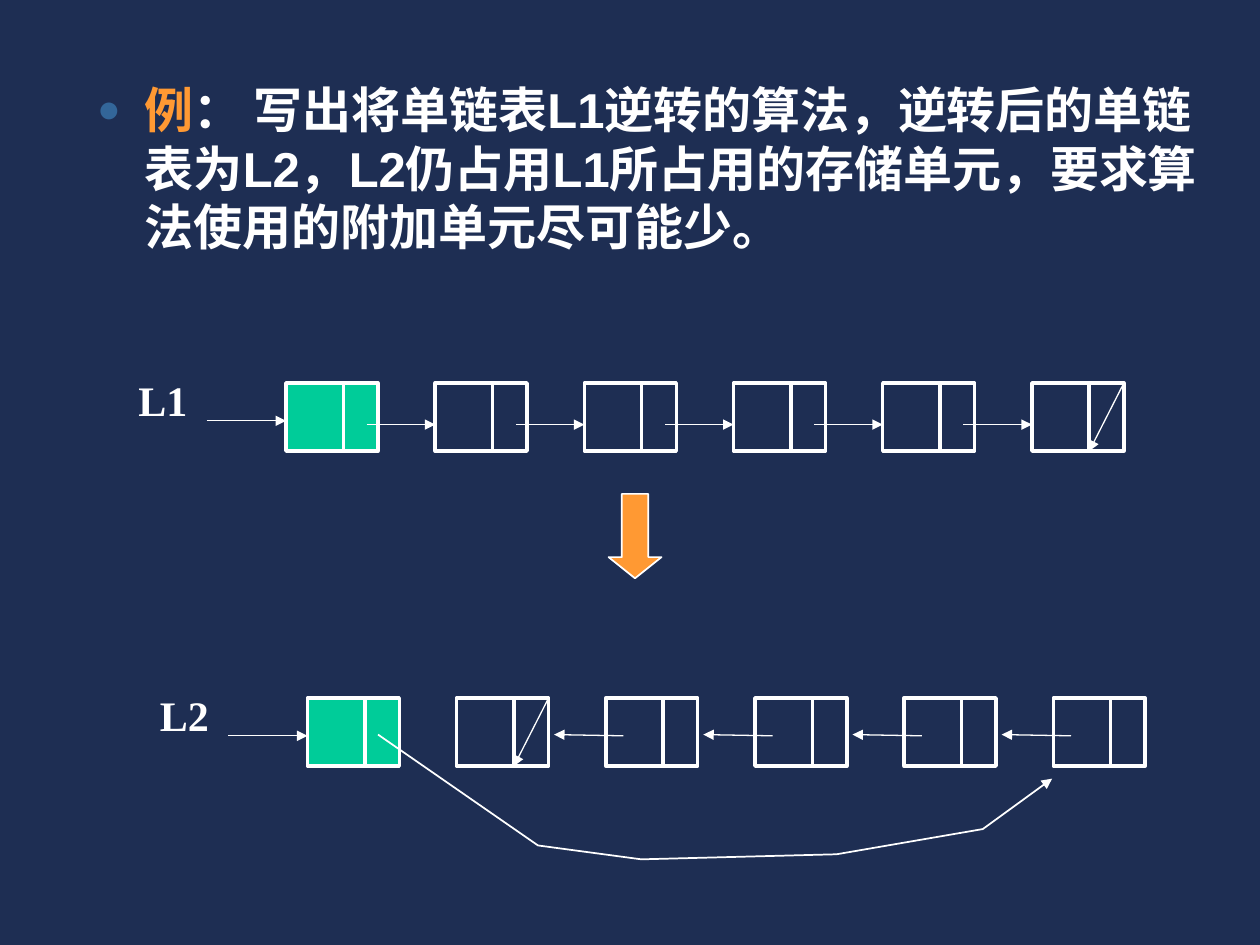
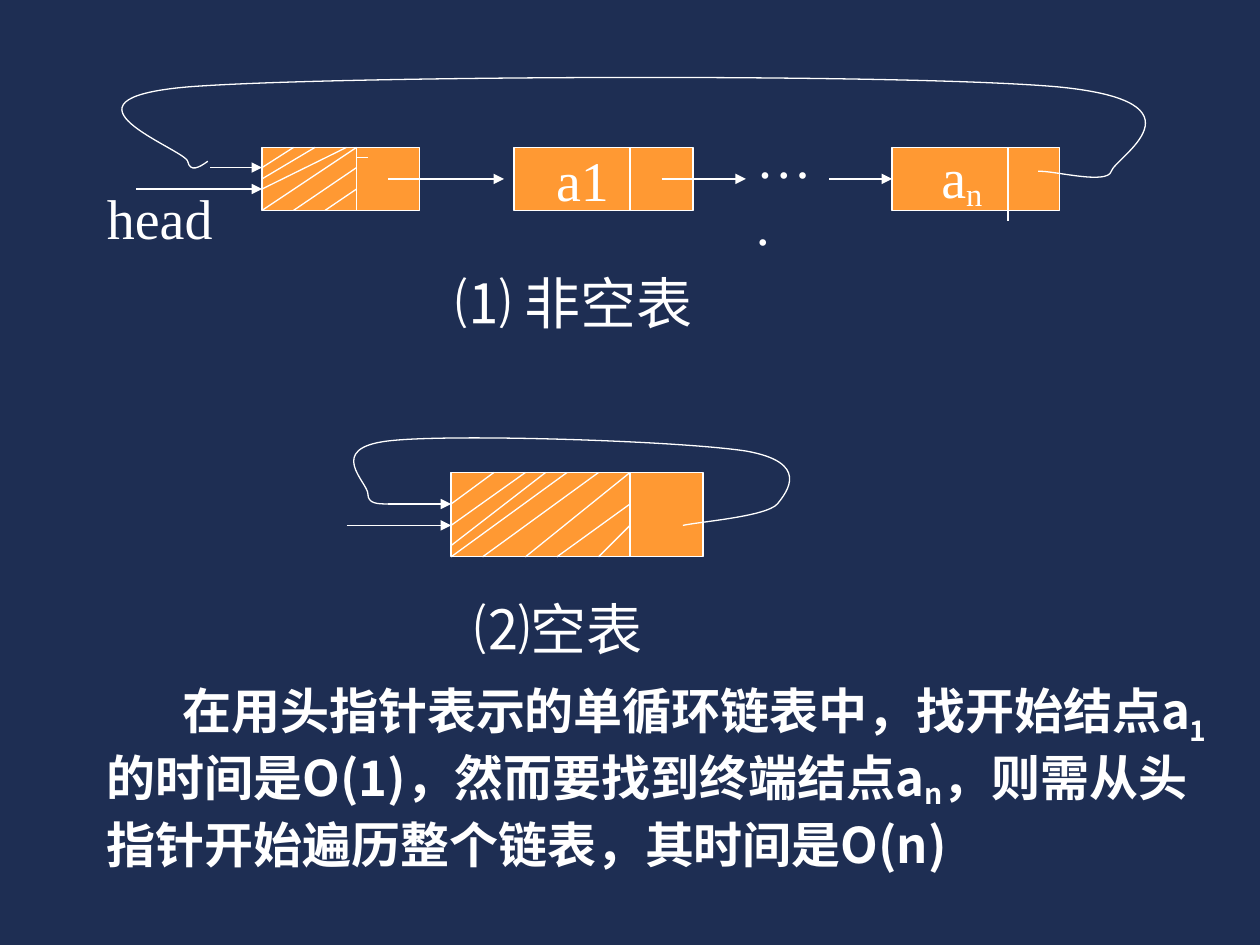
from lxml.etree import SubElement
from pptx import Presentation
from pptx.dml.color import RGBColor
from pptx.enum.shapes import MSO_CONNECTOR, MSO_SHAPE
from pptx.enum.text import MSO_ANCHOR, MSO_AUTO_SIZE, PP_ALIGN
from pptx.oxml.ns import qn
from pptx.util import Cm, Pt

NAVY = "1E2E53"
WHITE = "FFFFFF"
ORANGE = "FF9933"
GREEN = "00CC99"
BLUE = "336699"
SERIF = "Times New Roman"

NODE_WIDTH, NODE_HEIGHT, NODE_PITCH = 0.73, 0.54, 1.184
NODE_COUNT, POINTER_LEFT = 6, 0.455


def inches(value):
    return Cm(value * 2.54)


def color(value):
    return RGBColor.from_string(value)


def write(shape, *runs, size=32, font=SERIF, bold=False, text_color=WHITE,
          align=PP_ALIGN.LEFT, anchor=MSO_ANCHOR.TOP, wrap=True,
          right_margin=0.1, spacing=None, indent=0):
    frame = shape.text_frame
    frame.auto_size = MSO_AUTO_SIZE.NONE
    frame.word_wrap = wrap
    frame.vertical_anchor = anchor
    frame.margin_left, frame.margin_right = inches(0.1), inches(right_margin)
    frame.margin_top = frame.margin_bottom = inches(0.05)
    paragraph = frame.paragraphs[0]
    paragraph.alignment = align
    paragraph.space_before = Pt(0)
    paragraph.line_spacing = Pt(spacing or size * 1.2)
    if indent:
        paragraph._p.get_or_add_pPr().set("indent", str(inches(indent)))
    for text, options in runs:
        run = paragraph.add_run()
        run.text = text
        run.font.name = font
        run.font.size = Pt(size)
        run.font.bold = bold
        run.font.color.rgb = color(options.get("color", text_color))
        if "baseline" in options:
            run.font._element.set("baseline", str(options["baseline"] * 1000))


def add_text(slide, left, top, width, height, *runs, **formatting):
    box = slide.shapes.add_textbox(*map(inches, (left, top, width, height)))
    write(box, *runs, **formatting)


def style_line(line, weight, arrow=False):
    line.color.rgb = color(WHITE)
    line.width = Pt(weight)
    if arrow:
        SubElement(line._get_or_add_ln(), qn("a:tailEnd"), type="triangle")


def add_line(slide, start, end, weight=0.75, arrow=False):
    connector = slide.shapes.add_connector(
        MSO_CONNECTOR.STRAIGHT, *map(inches, (*start, *end)))
    style_line(connector.line, weight, arrow)
    SubElement(connector._element.spPr, qn("a:effectLst"))


def add_shape(slide, kind, left, top, width, height, fill=None, weight=0.75):
    shape = slide.shapes.add_shape(kind, *map(inches, (left, top, width, height)))
    shape.shadow.inherit = False
    if fill:
        shape.fill.solid()
        shape.fill.fore_color.rgb = color(fill)
    else:
        shape.fill.background()
    style_line(shape.line, weight)
    return shape


def add_open_path(slide, points, weight=0.75, arrow=False, curved=False):
    emu_points = [(inches(x), inches(y)) for x, y in points]
    builder = slide.shapes.build_freeform(*emu_points[0], scale=1.0)
    builder.add_line_segments(emu_points[1:], close=False)
    shape = builder.convert_to_shape()
    shape.shadow.inherit = False
    shape.fill.background()
    style_line(shape.line, weight, arrow)
    if curved:
        bend_segments(shape)


def bend_segments(shape):
    outline = next(shape._element.iter(qn("a:path")))
    segments = outline.findall(qn("a:lnTo"))
    for first in range(0, len(segments), 3):
        curve = SubElement(outline, qn("a:cubicBezTo"))
        for segment in segments[first:first + 3]:
            curve.append(segment[0])
            outline.remove(segment)


def add_bullet(paragraph):
    properties = paragraph._p.get_or_add_pPr()
    properties.set("marL", str(inches(0.38)))
    properties.set("indent", str(inches(-0.38)))
    bullet_color = SubElement(properties, qn("a:buClr"))
    SubElement(bullet_color, qn("a:srgbClr"), val=BLUE)
    SubElement(properties, qn("a:buSzPct"), val="80000")
    SubElement(properties, qn("a:buChar"), char="●")


def add_node_row(slide, label, left, top, null_index):
    add_text(slide, left - 1.27, top - 0.12, 1.18, 0.5, (label, {}),
             size=24, bold=True)
    add_line(slide, (left - 0.63, top + 0.3), (left, top + 0.3), arrow=True)
    lefts = [left + index * NODE_PITCH for index in range(NODE_COUNT)]
    for index, x in enumerate(lefts):
        add_shape(slide, MSO_SHAPE.RECTANGLE, x, top, NODE_WIDTH, NODE_HEIGHT,
                  GREEN if index == 0 else None, weight=2)
        divider = x + POINTER_LEFT
        add_line(slide, (divider, top), (divider, top + NODE_HEIGHT), weight=2)
    null_left = lefts[null_index]
    add_line(slide, (null_left + NODE_WIDTH, top),
             (null_left + POINTER_LEFT, top + NODE_HEIGHT), arrow=True)
    return lefts


def add_slide(presentation, layout_index):
    slide = presentation.slides.add_slide(presentation.slide_layouts[layout_index])
    slide.background.fill.solid()
    slide.background.fill.fore_color.rgb = color(NAVY)
    return slide


def build_reversal_slide(presentation):
    slide = add_slide(presentation, 1)
    title = slide.shapes.title._element
    title.getparent().remove(title)
    body = slide.placeholders[1]
    body.left, body.top, body.width, body.height = map(
        inches, (0.67, 0.58, 9.08, 1.92))
    add_bullet(body.text_frame.paragraphs[0])
    write(body, ("例", {"color": ORANGE}),
          ("： 写出将单链表L1逆转的算法，逆转后的单链表为L2，L2仍占用L1所占用的"
           "存储单元，要求算法使用的附加单元尽可能少。", {}),
          size=28, font="Arial", bold=True)

    forward = add_node_row(slide, "L1", 2.27, 3.04, null_index=5)
    for x, following in zip(forward, forward[1:]):
        add_line(slide, (x + 0.64, 3.37), (following, 3.37), arrow=True)

    arrow = add_shape(slide, MSO_SHAPE.DOWN_ARROW, 4.83, 3.92, 0.42, 0.67,
                      ORANGE, weight=1)
    arrow.adjustments[0], arrow.adjustments[1] = 0.5, 0.4

    backward = add_node_row(slide, "L2", 2.44, 5.54, null_index=1)
    for x in backward[2:]:
        add_line(slide, (x + 0.14, 5.84), (x - 0.41, 5.83), arrow=True)
    add_open_path(slide, [(3, 5.83), (4.27, 6.71), (5.09, 6.82), (6.64, 6.78),
                          (7.8, 6.58), (8.35, 6.18)], weight=1, arrow=True)


def add_hatching(slide, strokes):
    for start, end in strokes:
        add_line(slide, start, end)


def add_arrows(slide, spans):
    for start, end, y in spans:
        add_line(slide, (start, y), (end, y), arrow=True)


def add_cell(slide, left, top, width, height, divider, tail=0):
    cell = add_shape(slide, MSO_SHAPE.RECTANGLE, left, top, width, height, ORANGE)
    add_line(slide, (divider, top), (divider, top + height + tail))
    return cell


def add_filled_list(slide):
    centered = dict(align=PP_ALIGN.CENTER, anchor=MSO_ANCHOR.MIDDLE, wrap=False)
    add_cell(slide, 2.08, 1.17, 1.25, 0.5, 2.83)
    first = add_cell(slide, 4.08, 1.17, 1.42, 0.5, 5)
    write(first, ("a1", {}), right_margin=0.43, **centered)
    last = add_cell(slide, 7.08, 1.17, 1.33, 0.5, 8, tail=0.08)
    write(last, ("a", {}), ("n", {"baseline": -14}), right_margin=0.32, **centered)
    add_arrows(slide, [(3.08, 4, 1.42), (5.25, 5.92, 1.42), (6.58, 7.08, 1.42),
                       (1.08, 2.08, 1.5), (1.67, 2.08, 1.33)])
    add_hatching(slide, [
        ((2.33, 1.17), (2.08, 1.33)), ((2.5, 1.17), (2.08, 1.42)),
        ((2.75, 1.17), (2.08, 1.5)), ((2.83, 1.17), (2.08, 1.67)),
        ((2.83, 1.33), (2.33, 1.67)), ((2.83, 1.5), (2.58, 1.67)),
        ((2.83, 1.25), (2.92, 1.25))])
    add_open_path(slide, [
        (1.65, 1.28), (1.58, 1.33), (1.51, 1.37), (1.49, 1.28),
        (1.46, 1.18), (0.33, 0.79), (1.49, 0.69),
        (2.64, 0.6), (7.18, 0.58), (8.4, 0.69),
        (9.63, 0.81), (8.85, 1.25), (8.82, 1.36),
        (8.79, 1.47), (8.35, 1.35), (8.24, 1.36)], curved=True)
    add_text(slide, 5.9, 0.92, 0.68, 1.17, ("….", {}))
    add_text(slide, 0.75, 1.41, 1.17, 0.64, ("head", {}))
    add_text(slide, 3.52, 2.08, 2.56, 0.64, ("⑴ 非空表", {}))


def add_empty_list(slide):
    add_cell(slide, 3.58, 3.75, 2, 0.67, 5)
    add_arrows(slide, [(2.75, 3.58, 4.17), (3.08, 3.58, 4)])
    add_hatching(slide, [
        ((3.92, 3.75), (3.58, 4)), ((4.17, 3.75), (3.58, 4.17)),
        ((4.33, 3.75), (3.58, 4.33)), ((4.5, 3.75), (3.58, 4.42)),
        ((4.75, 3.75), (3.83, 4.42)), ((5, 3.75), (4.17, 4.42)),
        ((5, 4), (4.42, 4.42)), ((5, 4.17), (4.75, 4.42))])
    add_open_path(slide, [
        (3.08, 4), (3, 4), (2.92, 4), (2.92, 3.92),
        (2.92, 3.83), (2.58, 3.56), (3.08, 3.5),
        (3.58, 3.44), (5.4, 3.5), (5.92, 3.58),
        (6.43, 3.67), (6.25, 3.9), (6.17, 4),
        (6.08, 4.1), (5.56, 4.14), (5.42, 4.17)], curved=True)
    add_text(slide, 3.67, 4.67, 2.67, 0.64, ("⑵空表", {}))


def build_circular_slide(presentation):
    slide = add_slide(presentation, 6)
    add_filled_list(slide)
    add_empty_list(slide)
    add_text(slide, 0.75, 5.38, 9, 1.63,
             ("在用头指针表示的单循环链表中，找开始结点a", {}),
             ("1", {"baseline": -25}),
             ("的时间是O(1)，然而要找到终端结点a", {}),
             ("n", {"baseline": -16}),
             ("，则需从头指针开始遍历整个链表，其时间是O(n)", {}),
             size=28, font="Noto Sans CJK SC", bold=True, spacing=36, indent=0.6)


def main():
    presentation = Presentation()
    presentation.slide_width, presentation.slide_height = Cm(25.4), Cm(19.05)
    build_reversal_slide(presentation)
    build_circular_slide(presentation)
    presentation.save("out.pptx")


if __name__ == "__main__":
    main()
